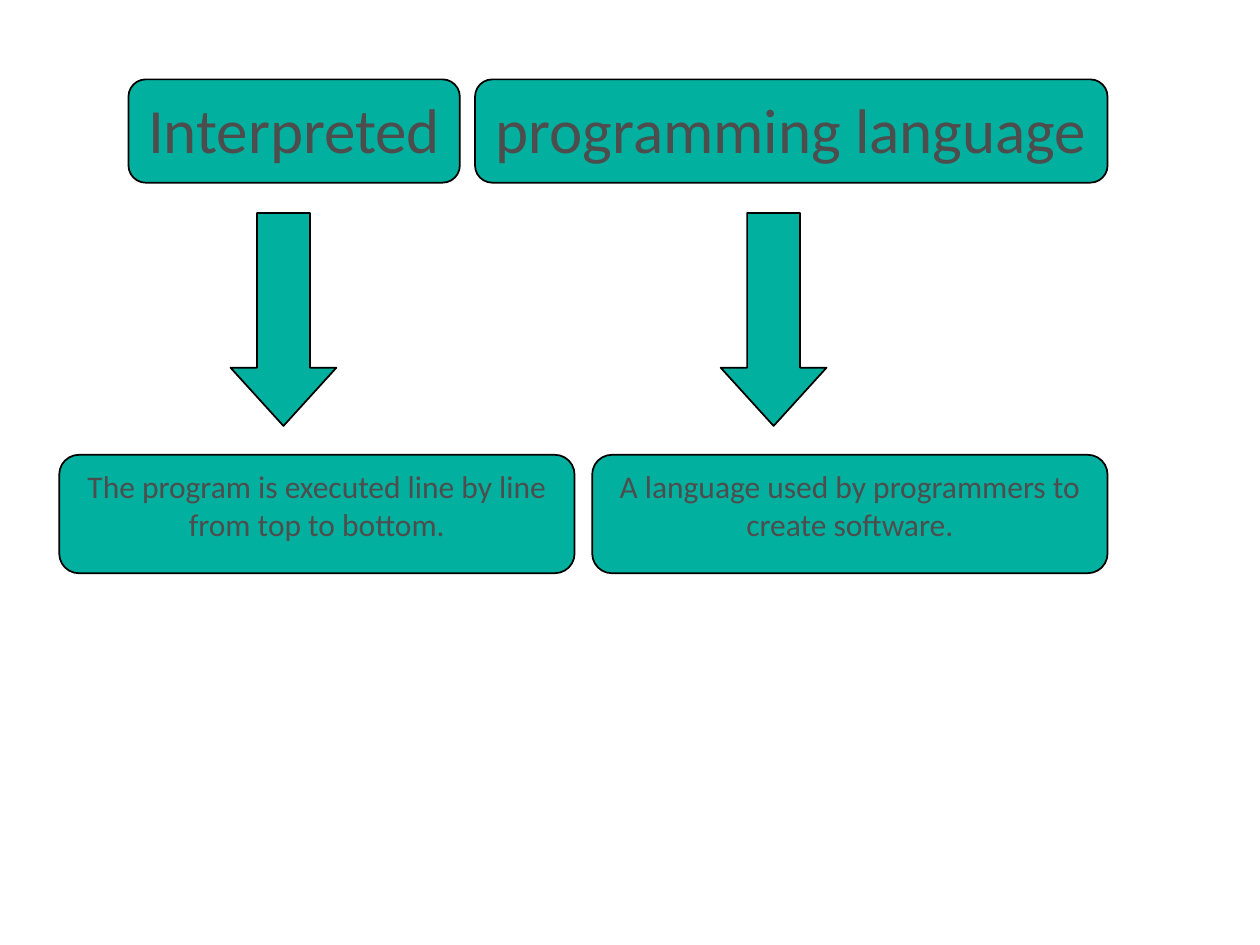
"""Build a slide that explains the two parts of a term with arrows to their meanings."""
from pptx import Presentation
from pptx.dml.color import RGBColor as RGB
from pptx.enum.shapes import MSO_SHAPE as Shape
from pptx.enum.text import MSO_ANCHOR as Anchor, PP_ALIGN as Align
from pptx.util import Inches, Pt

TERMS = [
    {"word": "Interpreted", "word_x": 1.02, "word_w": 2.63, "arrow_x": 1.83,
     "meaning": "The program is executed line by line from top to bottom.", "meaning_x": 0.47},
    {"word": "programming language", "word_x": 3.77, "word_w": 5.02, "arrow_x": 5.72,
     "meaning": "A language used by programmers to create software.", "meaning_x": 4.7},
]
THEME = {"fill": RGB(0x02, 0xB0, 0x9F), "line": RGB(0, 0, 0), "text": RGB(0x4D, 0x4D, 0x4D),
         "font": "Calibri", "word": Pt(36), "meaning": Pt(18), "line_w": Pt(1)}
WORD_Y, WORD_H = 0.63, 0.82
ARROW_Y, ARROW_W, ARROW_H = 1.69, 0.84, 1.69
MEANING_Y, MEANING_W, MEANING_H = 3.61, 4.09, 0.94


def add_block(slide, kind, x, y, w, h):
    sp = slide.shapes.add_shape(kind, Inches(x), Inches(y), Inches(w), Inches(h))
    sp.shadow.inherit = False
    sp.fill.solid()
    sp.fill.fore_color.rgb = THEME["fill"]
    sp.line.color.rgb = THEME["line"]
    sp.line.width = THEME["line_w"]
    return sp


def add_box(slide, text, size, *place):
    tf = add_block(slide, Shape.ROUNDED_RECTANGLE, *place).text_frame
    tf.word_wrap = True
    tf.vertical_anchor = Anchor.TOP
    tf.text = text
    p = tf.paragraphs[0]
    p.alignment = Align.CENTER
    font = p.runs[0].font
    font.name, font.size = THEME["font"], size
    font.color.rgb = THEME["text"]


def main():
    prs = Presentation()
    prs.slide_width, prs.slide_height = Inches(10), Inches(7.5)
    s = prs.slides.add_slide(prs.slide_layouts[6])
    for term in TERMS:
        add_box(s, term["word"], THEME["word"], term["word_x"], WORD_Y, term["word_w"], WORD_H)
        arrow = add_block(s, Shape.DOWN_ARROW, term["arrow_x"], ARROW_Y, ARROW_W, ARROW_H)
        arrow.adjustments[1] = 0.55
        add_box(s, term["meaning"], THEME["meaning"],
                term["meaning_x"], MEANING_Y, MEANING_W, MEANING_H)
    prs.save("out.pptx")


if __name__ == "__main__":
    main()
